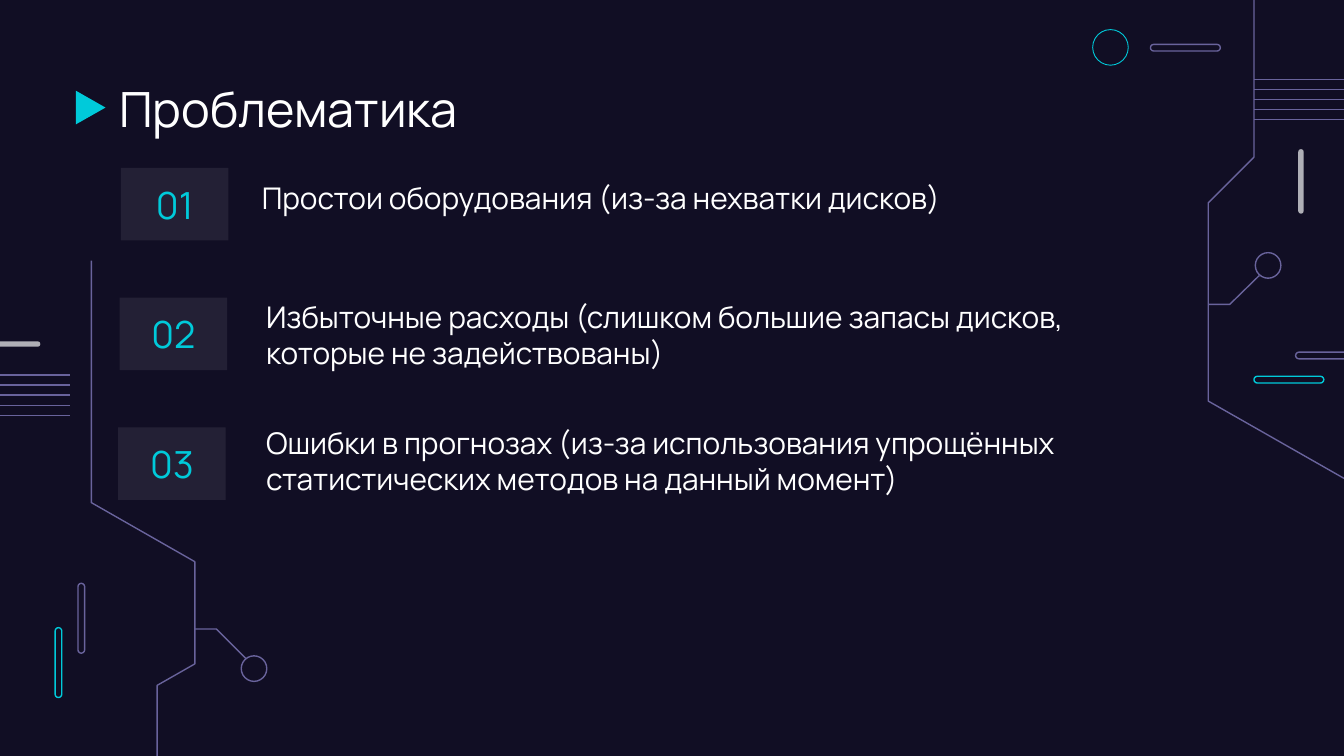
from dataclasses import dataclass

from lxml import etree
from pptx import Presentation, util as u
from pptx.dml.color import RGBColor
from pptx.enum import shapes, text
from pptx.oxml import ns


@dataclass(frozen=True)
class Theme:
    font: str = "Manrope"
    night: str = "110E24"
    white: str = "FFFFFF"
    cyan: str = "00CADA"
    violet: str = "69639C"
    silver: str = "AFAFB6"
    title: int = 26
    number: int = 20
    body: int = 16
    stroke: float = 0.75
    thin_stroke: float = 0.47
    tile_alpha: int = 8


THEME = Theme()
COLUMNS, ROWS = 100, 56.25
CELL = u.Inches(10) / COLUMNS

HEADING = "Проблематика"
PROBLEMS = [
    ("Простои оборудования (из-за нехватки дисков)",
     (18.5, 13.4, 58, 5.4), 1, 0, text.MSO_ANCHOR.TOP),
    ("Избыточные расходы (слишком большие запасы дисков, которые не задействованы)",
     (17.1, 21.5, 69.5, 6.8), 2.7, 1, text.MSO_ANCHOR.MIDDLE),
    ("Ошибки в прогнозах (из-за использования упрощённых статистических методов на данный момент)",
     (17.1, 31.6, 69.5, 5.4), 2.7, 1, text.MSO_ANCHOR.MIDDLE),
]

TILE_START, TILE_STEP, TILE_SIZE = (9, 12.5), (-0.1, 9.65), (8, 5.4)

PILL_LENGTH, PILL_WIDTH = 5.2, 0.5
UPRIGHT_PILLS = [(4.1, 46.7, THEME.cyan), (5.8, 43.4, THEME.violet)]
FLAT_PILLS = [(93.3, 28, THEME.cyan), (96.4, 26.2, THEME.violet),
              (85.6, 3.3, THEME.violet)]
BARS = [(96.6, 11.1, 0.4, 4.8), (-1.8, 25.4, 4.8, 0.4)]
NODES = [(81.3, 2.2, 2.65, THEME.cyan, THEME.thin_stroke),
         (93.4, 18.8, 1.9, THEME.violet, THEME.stroke),
         (17.95, 48.8, 1.9, THEME.violet, THEME.stroke)]
CIRCUITS = [
    [(93.7, 20.5), (91.5, 22.65), (89.9, 22.65)],
    [(COLUMNS, 35.6), (89.9, 29.85), (89.9, 15.1), (93.3, 11.7), (93.3, 0)],
    [(18.3, 49), (16.1, 46.8), (14.5, 46.8)],
    [(6.8, 19.4), (6.8, 37.4), (14.5, 41.8), (14.5, 49.4), (11.7, 51), (11.7, ROWS)],
]
TRACKS = [(93.3, COLUMNS, 5.9), (0, 5.2, 27.9)]
TRACK_COUNT, TRACK_GAP = 5, 0.75


def cells(*lengths):
    return [u.Emu(round(length * CELL)) for length in lengths]


def color(value):
    return RGBColor.from_string(value)


def style(shape, fill=None, line=None, width=THEME.stroke):
    shape.shadow.inherit = False
    if fill:
        shape.fill.solid()
        shape.fill.fore_color.rgb = color(fill)
    else:
        shape.fill.background()
    if line:
        shape.line.color.rgb = color(line)
        shape.line.width = u.Pt(width)
    else:
        shape.line.fill.background()
    return shape


def add_preset(slide, preset, box, **look):
    return style(slide.shapes.add_shape(preset, *cells(*box)), **look)


def add_pill(slide, box, **look):
    pill = add_preset(slide, shapes.MSO_SHAPE.ROUNDED_RECTANGLE, box, **look)
    pill.adjustments[0] = 0.5


def add_circuit(slide, points):
    start, *rest = [cells(*point) for point in points]
    builder = slide.shapes.build_freeform(*start)
    builder.add_line_segments(rest, close=False)
    style(builder.convert_to_shape(), line=THEME.violet)


def add_track(slide, left, right, y):
    track = slide.shapes.add_connector(
        shapes.MSO_CONNECTOR.STRAIGHT, *cells(left, y, right, y))
    track.line.color.rgb = color(THEME.violet)
    track.line.width = u.Pt(THEME.stroke)
    etree.SubElement(track._element.spPr, ns.qn("a:effectLst"))


def write(shape, words, size, ink, anchor, align=text.PP_ALIGN.LEFT, left=1, top=1):
    frame = shape.text_frame
    frame.word_wrap = True
    frame.vertical_anchor = anchor
    frame.margin_left, frame.margin_top, frame.margin_right, frame.margin_bottom = \
        cells(left, top, 1, 1)
    paragraph = frame.paragraphs[0]
    paragraph.alignment = align
    run = paragraph.add_run()
    run.text = words
    run.font.name = THEME.font
    run.font.size = u.Pt(size)
    run.font.color.rgb = color(ink)


def draw_decor(slide):
    for x, y, line in UPRIGHT_PILLS:
        add_pill(slide, (x, y, PILL_WIDTH, PILL_LENGTH), line=line)
    for x, y, line in FLAT_PILLS:
        add_pill(slide, (x, y, PILL_LENGTH, PILL_WIDTH), line=line)
    for bar in BARS:
        add_pill(slide, bar, fill=THEME.silver)
    for x, y, size, line, width in NODES:
        add_preset(slide, shapes.MSO_SHAPE.OVAL, (x, y, size, size),
                   line=line, width=width)
    for circuit in CIRCUITS:
        add_circuit(slide, circuit)
    for left, right, top in TRACKS:
        for i in range(TRACK_COUNT):
            add_track(slide, left, right, top + i * TRACK_GAP)


def draw_heading(slide):
    marker = add_preset(slide, shapes.MSO_SHAPE.FLOWCHART_MERGE,
                        (5.5, 6.9, 2.5, 2.2), fill=THEME.cyan)
    marker.rotation = 270
    heading = slide.shapes.add_textbox(*cells(7.9, 4.9, 84.3, 6.3))
    write(heading, HEADING, THEME.title, THEME.white, text.MSO_ANCHOR.TOP)


def draw_problems(slide):
    for i, (words, box, left, top, anchor) in enumerate(PROBLEMS):
        corner = [start + i * step for start, step in zip(TILE_START, TILE_STEP)]
        tile = add_preset(slide, shapes.MSO_SHAPE.RECTANGLE, (*corner, *TILE_SIZE),
                          fill=THEME.white)
        tint = tile._element.spPr.find(".//" + ns.qn("a:srgbClr"))
        etree.SubElement(tint, ns.qn("a:alpha"), val=str(THEME.tile_alpha * 1000))
        write(tile, f"{i + 1:02}", THEME.number, THEME.cyan,
              text.MSO_ANCHOR.MIDDLE, text.PP_ALIGN.CENTER)
        problem = slide.shapes.add_textbox(*cells(*box))
        write(problem, words, THEME.body, THEME.white, anchor, left=left, top=top)


def main():
    deck = Presentation()
    deck.slide_width, deck.slide_height = cells(COLUMNS, ROWS)
    slide = deck.slides.add_slide(deck.slide_layouts[6])
    slide.background.fill.solid()
    slide.background.fill.fore_color.rgb = color(THEME.night)
    draw_decor(slide)
    draw_heading(slide)
    draw_problems(slide)
    deck.save("out.pptx")


if __name__ == "__main__":
    main()
